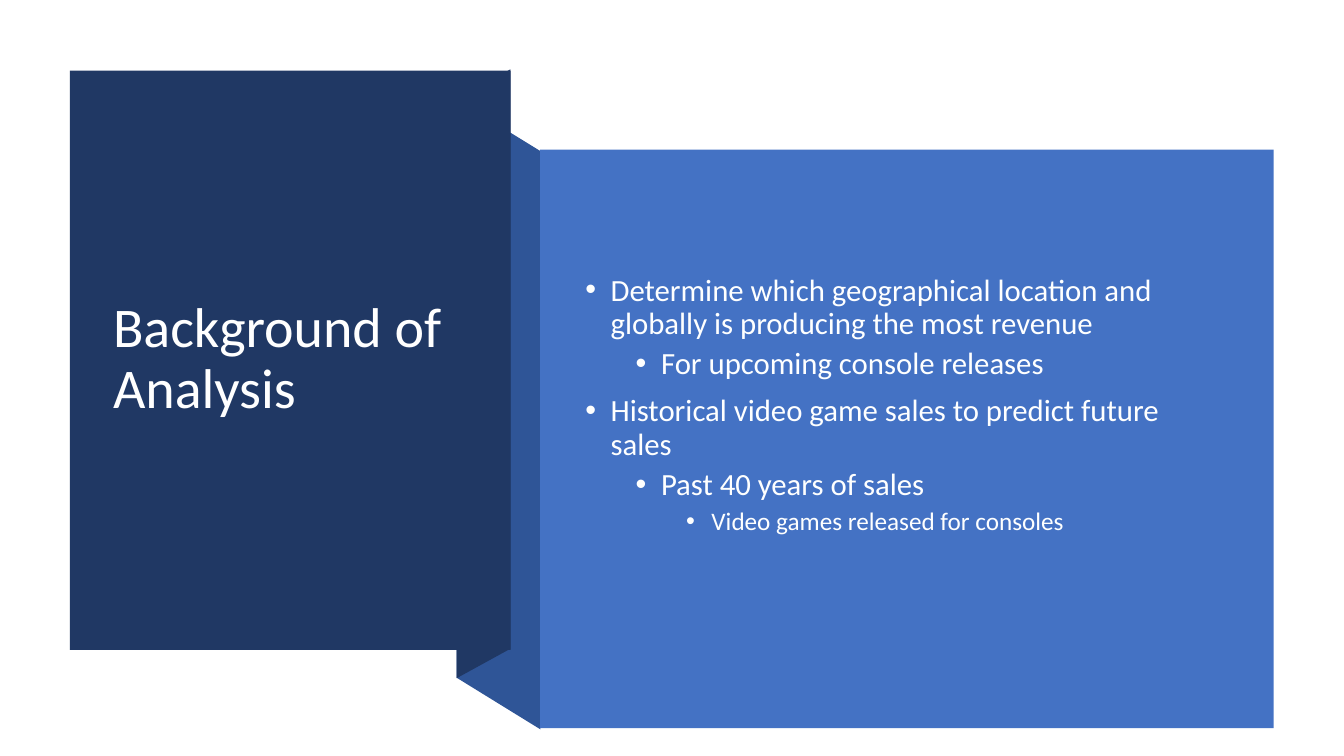
import dataclasses

import lxml.etree
import pptx
import pptx.dml.color
import pptx.enum.shapes
import pptx.enum.text
import pptx.oxml.ns
import pptx.util

Cm = pptx.util.Cm
Pt = pptx.util.Pt


@dataclasses.dataclass(frozen=True)
class Theme:
    font: str = "Calibri"
    navy: str = "203864"
    fold_blue: str = "2F5597"
    blue: str = "4472C4"
    title_ink: str = "FFFFFF"
    body_ink: str = "FEFFFF"
    title_size: int = 40
    body_sizes: tuple = (22, 22, 18)
    space_before: tuple = (10, 5, 5)
    line_spacing: float = 0.9
    indent: float = 0.64
    level_step: float = 1.27


@dataclasses.dataclass(frozen=True)
class Box:
    left: float
    top: float
    width: float
    height: float

    def inset(self, left, top, right, bottom):
        return Box(self.left + left, self.top + top,
                   self.width - left - right, self.height - top - bottom)

    def lengths(self):
        return [Cm(side) for side in dataclasses.astuple(self)]


THEME = Theme()
TITLE = "Background of Analysis"
POINTS = [
    (0, "Determine which geographical location and globally is producing the most revenue"),
    (1, "For upcoming console releases"),
    (0, "Historical video game sales to predict future sales"),
    (1, "Past 40 years of sales"),
    (2, "Video games released for consoles"),
]


def paint(shape, color):
    shape.shadow.inherit = False
    shape.fill.solid()
    shape.fill.fore_color.rgb = pptx.dml.color.RGBColor.from_string(color)
    shape.line.fill.background()


def add_panel(slide, box, color):
    panel = slide.shapes.add_shape(pptx.enum.shapes.MSO_SHAPE.RECTANGLE, *box.lengths())
    paint(panel, color)


def add_fold(slide, box, left_drop, right_drop, color):
    right = box.left + box.width
    edge = box.height - max(left_drop, right_drop)
    left_top, right_top = box.top + left_drop, box.top + right_drop
    corners = [(right, right_top + edge), (box.left, left_top + edge),
               (box.left, left_top), (right, right_top)]
    start, *others = [(Cm(x), Cm(y)) for x, y in corners]
    outline = slide.shapes.build_freeform(*start)
    outline.add_line_segments(others, close=True)
    paint(outline.convert_to_shape(), color)


def add_text_frame(slide, box):
    frame = slide.shapes.add_textbox(*box.lengths()).text_frame
    frame.word_wrap = True
    frame.vertical_anchor = pptx.enum.text.MSO_ANCHOR.MIDDLE
    return frame


def write(paragraph, text, size, color):
    paragraph.text = text
    paragraph.line_spacing = THEME.line_spacing
    font = paragraph.runs[0].font
    font.name = THEME.font
    font.size = Pt(size)
    font.color.rgb = pptx.dml.color.RGBColor.from_string(color)


def add_bullet(paragraph, level):
    paragraph.level = level
    paragraph.space_before = Pt(THEME.space_before[level])
    properties = paragraph._p.get_or_add_pPr()
    properties.set("marL", str(Cm(THEME.indent + level * THEME.level_step)))
    properties.set("indent", str(-Cm(THEME.indent)))
    for tag, key, value in (("a:buFont", "typeface", "Arial"), ("a:buChar", "char", "•")):
        lxml.etree.SubElement(properties, pptx.oxml.ns.qn(tag)).set(key, value)


def add_title_panel(slide, box):
    add_panel(slide, box, THEME.navy)
    frame = add_text_frame(slide, box.inset(0.84, 0.95, 0.87, 0.98))
    write(frame.paragraphs[0], TITLE, THEME.title_size, THEME.title_ink)


def add_points_panel(slide, box):
    add_panel(slide, box, THEME.blue)
    frame = add_text_frame(slide, box.inset(0.89, 1.02, 1.06, 2.71))
    for index, (level, text) in enumerate(POINTS):
        paragraph = frame.add_paragraph() if index else frame.paragraphs[0]
        write(paragraph, text, THEME.body_sizes[level], THEME.body_ink)
        add_bullet(paragraph, level)


def add_ribbon(slide, box):
    add_fold(slide, Box(box.left, box.top + 0.76, box.width, box.height - 0.76),
             0, 1.3, THEME.fold_blue)
    add_fold(slide, Box(box.left, box.top, 1.35, 15.34), 0.74, 0, THEME.navy)


presentation = pptx.Presentation()
presentation.slide_width = Cm(33.87)
presentation.slide_height = Cm(19.05)
slide = presentation.slides.add_slide(presentation.slide_layouts[6])
add_ribbon(slide, Box(11.51, 1.75, 2.11, 16.63))
add_title_panel(slide, Box(1.76, 1.78, 11.11, 14.6))
add_points_panel(slide, Box(13.61, 3.77, 18.49, 14.58))
presentation.save("out.pptx")
